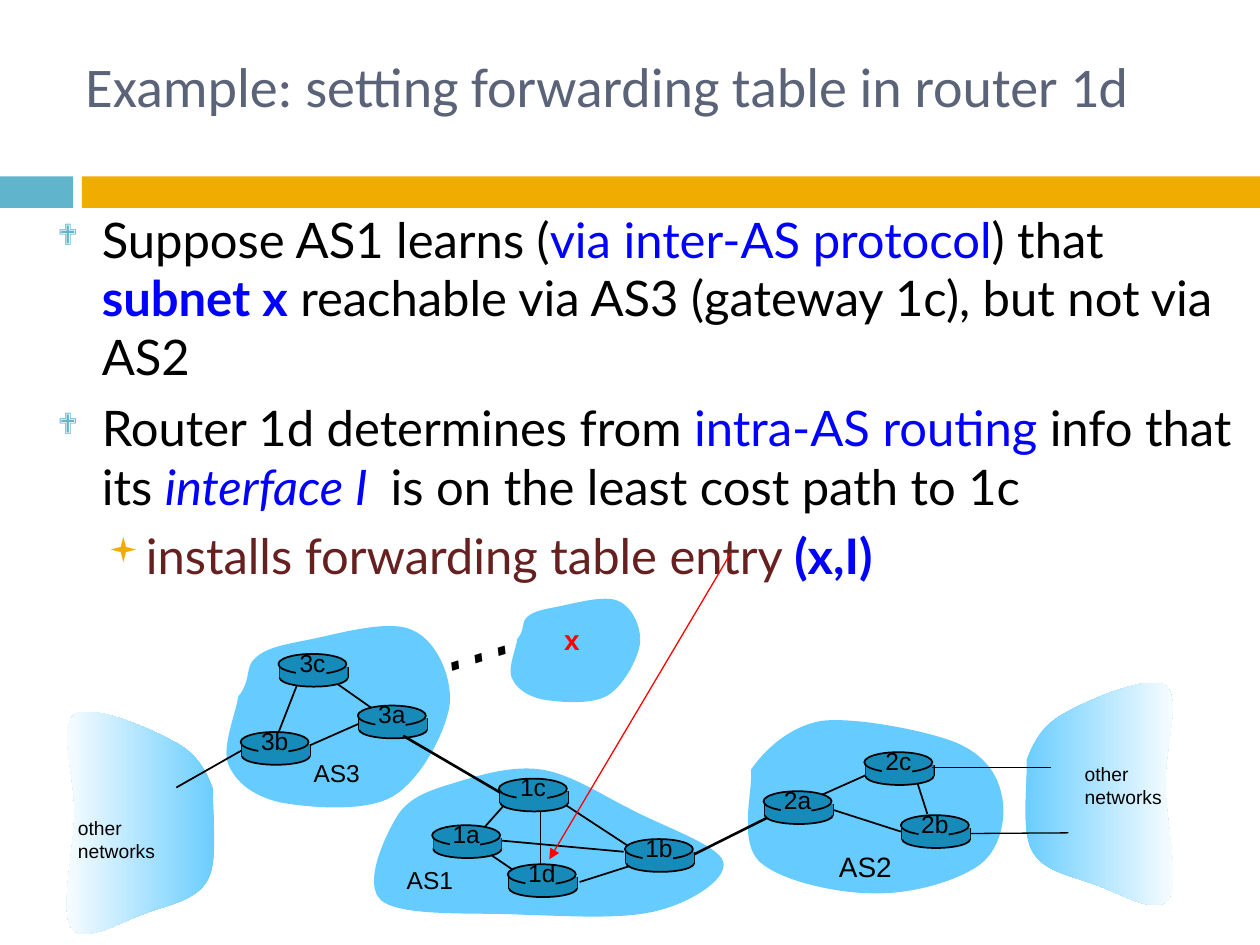
from lxml import etree
from pptx import Presentation
from pptx.dml.color import RGBColor
from pptx.enum.shapes import MSO_CONNECTOR, MSO_SHAPE
from pptx.enum.text import MSO_ANCHOR, MSO_AUTO_SIZE, PP_ALIGN
from pptx.oxml.ns import qn
from pptx.util import Cm, Pt

RECT, OVAL = MSO_SHAPE.RECTANGLE, MSO_SHAPE.OVAL
STRAIGHT = MSO_CONNECTOR.STRAIGHT
TOP, MIDDLE = MSO_ANCHOR.TOP, MSO_ANCHOR.MIDDLE
LEFT, CENTER = PP_ALIGN.LEFT, PP_ALIGN.CENTER
NO_FIT, GROW = MSO_AUTO_SIZE.NONE, MSO_AUTO_SIZE.SHAPE_TO_FIT_TEXT

COLORS = {
    "black": "000000", "white": "FFFFFF", "blue": "0000FF", "red": "FF0000",
    "title": "5A6378", "teal": "60B5CC", "amber": "F0AD00", "brown": "672020",
    "cloud": "66CCFF", "router": "168BBA",
}

# Cloud outlines: a start point, then cubic curves (two controls and an end).
AS1 = [(3.15, 6.48),
       (3.25, 6.32, 3.42, 6.27, 3.62, 6.21), (3.81, 6.15, 4.08, 6.07, 4.31, 6.11),
       (4.54, 6.15, 4.76, 6.3, 5, 6.42), (5.24, 6.55, 5.71, 6.71, 5.74, 6.84),
       (5.78, 6.98, 5.47, 7.17, 5.21, 7.23), (4.94, 7.3, 4.5, 7.27, 4.14, 7.26),
       (3.78, 7.24, 3.2, 7.28, 3.03, 7.15), (2.87, 7.02, 3.06, 6.63, 3.15, 6.48)]
AS2 = [(5.96, 6.11),
       (6.07, 5.95, 6.27, 5.76, 6.53, 5.72), (6.8, 5.69, 7.35, 5.8, 7.58, 5.89),
       (7.82, 5.99, 7.92, 6.15, 7.95, 6.31), (7.99, 6.47, 7.95, 6.73, 7.78, 6.86),
       (7.61, 6.99, 7.23, 7.1, 6.93, 7.09), (6.64, 7.09, 6.18, 6.99, 6.02, 6.83),
       (5.86, 6.66, 5.98, 6.26, 5.96, 6.11)]
AS3 = [(1.89, 5.53),
       (2, 5.4, 1.94, 5.29, 2.03, 5.22), (2.12, 5.14, 2.24, 5.12, 2.44, 5.08),
       (2.65, 5.04, 3.08, 4.91, 3.27, 5), (3.46, 5.08, 3.59, 5.36, 3.57, 5.59),
       (3.54, 5.81, 3.34, 6.19, 3.12, 6.32), (2.9, 6.45, 2.45, 6.41, 2.23, 6.37),
       (2.01, 6.32, 1.87, 6.21, 1.81, 6.06), (1.76, 5.92, 1.88, 5.64, 1.89, 5.53)]
OTHER = [(8.15, 6.03),
         (8.21, 5.87, 8.29, 5.74, 8.47, 5.65), (8.65, 5.55, 9.12, 5.35, 9.25, 5.44),
         (9.38, 5.54, 9.24, 5.95, 9.25, 6.23), (9.25, 6.51, 9.37, 7.01, 9.27, 7.14),
         (9.18, 7.27, 8.87, 7.08, 8.69, 7.02), (8.51, 6.95, 8.28, 6.92, 8.19, 6.75),
         (8.1, 6.59, 8.16, 6.18, 8.15, 6.03)]

ROUTERS = {
    "3b": (1.91, 5.81), "3c": (2.21, 5.19), "3a": (2.84, 5.6),
    "1c": (3.96, 6.18), "1a": (3.43, 6.55), "1d": (4.03, 6.86), "1b": (4.96, 6.66),
    "2a": (6.06, 6.28), "2c": (6.86, 5.97), "2b": (7.15, 6.47),
}
LINKS = [
    (2.45, 5.92, 2.88, 5.73), (2.95, 5.62, 2.68, 5.43), (2.36, 5.43, 2.2, 5.84),
    (4.01, 6.38, 3.85, 6.56), (4.29, 6.42, 4.29, 6.91), (4.46, 6.37, 5.01, 6.73),
    (5.01, 6.87, 4.6, 7), (4.95, 6.76, 3.96, 6.67), (3.86, 6.76, 4.08, 6.91),
    (6.43, 6.35, 6.9, 6.14), (6.62, 6.43, 7.15, 6.6), (7.28, 6.21, 7.36, 6.46),
]
BULLETS = [
    # level, runs of (text, colour, style)
    (0, [("Suppose AS1 learns (", "black", ""), ("via inter-AS protocol", "blue", ""),
         (") that ", "black", ""), ("subnet x", "blue", "b"),
         (" reachable via AS3 (gateway 1c), but not via AS2", "black", "")]),
    (0, [("Router 1d determines from ", "black", ""), ("intra-AS routing ", "blue", ""),
         ("info that its ", "black", ""), ("interface I  ", "blue", "i"),
         ("is on the least cost path to 1c", "black", "")]),
    (1, [("installs forwarding table entry ", "brown", ""), ("(x,I)", "blue", "b")]),
]
# Per level: symbol, colour, size %, left margin, hanging indent, space before
LEVELS = [("❖", "teal", 60, 0.35, 0.35, 7), ("▪", "amber", 70, 0.7, 0.3, 5.5)]


def inch(value):
    return Cm(value * 2.54)


def rgb(name):
    return RGBColor.from_string(COLORS[name])


def merge_into_curves(sp):
    """Replace every three line segments by one cubic curve."""
    lines = list(sp._element.iter(qn("a:lnTo")))
    for curve in zip(lines[::3], lines[1::3], lines[2::3]):
        cubic = etree.Element(qn("a:cubicBezTo"))
        curve[0].addprevious(cubic)
        for segment in curve:
            cubic.append(segment[0])
            segment.getparent().remove(segment)


class Canvas:
    def __init__(self, s):
        self.s = s

    def shape(self, kind, x, y, w, h, fill, outlined=False, parent=None):
        sp = (parent or self.s).shapes.add_shape(kind, *map(inch, (x, y, w, h)))
        sp.shadow.inherit = False
        sp.fill.solid()
        sp.fill.fore_color.rgb = rgb(fill)
        if outlined:
            sp.line.color.rgb = rgb("black")
            sp.line.width = Pt(1)
        else:
            sp.line.fill.background()
        return sp

    def line(self, x1, y1, x2, y2, width=1, color="black", arrow=False, parent=None):
        cx = (parent or self.s).shapes.add_connector(
            STRAIGHT, *map(inch, (x1, y1, x2, y2)))
        cx.line.color.rgb = rgb(color)
        cx.line.width = Pt(width)
        if arrow:
            etree.SubElement(cx.line._get_or_add_ln(), qn("a:tailEnd"), type="triangle")
        etree.SubElement(cx._element.spPr, qn("a:effectLst"))
        return cx

    def cloud(self, outline, fade_angle=None, sx=1, dx=0, sy=1, dy=0):
        """Draw a cloud scaled by sx, sy and moved by dx, dy, plain or fading to white."""
        points = [(inch(sx * x + dx), inch(sy * y + dy))
                  for part in outline for x, y in zip(part[::2], part[1::2])]
        builder = self.s.shapes.build_freeform(*points[0], scale=1.0)
        builder.add_line_segments(points[1:], close=True)
        sp = builder.convert_to_shape()
        merge_into_curves(sp)
        sp.shadow.inherit = False
        sp.line.fill.background()
        if fade_angle is None:
            sp.fill.solid()
            sp.fill.fore_color.rgb = rgb("cloud")
            return
        sp.fill.gradient()
        sp.fill.gradient_angle = fade_angle
        for stop, name, position in zip(sp.fill.gradient_stops, ("cloud", "white"), (0, 1)):
            stop.color.rgb = rgb(name)
            stop.position = position

    def run(self, p, text, size, font="Arial", color="black", style=""):
        r = p.add_run()
        r.text = text
        r.font.name, r.font.size = font, Pt(size)
        r.font.color.rgb = rgb(color)
        r.font.bold, r.font.italic = "b" in style, "i" in style

    def box(self, x, y, w, h, wrap=False, anchor=TOP, parent=None):
        sp = (parent or self.s).shapes.add_textbox(*map(inch, (x, y, w, h)))
        tf = sp.text_frame
        tf.word_wrap, tf.vertical_anchor = wrap, anchor
        tf.auto_size = NO_FIT if wrap else GROW
        return sp

    def label(self, x, y, w, h, lines, size, align=LEFT, parent=None, **look):
        sp = self.box(x, y, w, h, parent=parent)
        tf = sp.text_frame
        for i, text in enumerate(lines):
            p = tf.add_paragraph() if i else tf.paragraphs[0]
            p.alignment = align
            self.run(p, text, size, **look)
        return sp

    def bullets(self, x, y, w, h, items):
        tf = self.box(x, y, w, h, wrap=True).text_frame
        for i, (level, runs) in enumerate(items):
            symbol, color, percent, margin, hang, before = LEVELS[level]
            p = tf.add_paragraph() if i else tf.paragraphs[0]
            p.level = level
            pPr = p._p.get_or_add_pPr()
            pPr.set("marL", str(inch(margin)))
            pPr.set("indent", str(-inch(hang)))
            clr = etree.SubElement(pPr, qn("a:buClr"))
            etree.SubElement(clr, qn("a:srgbClr"), val=COLORS[color])
            etree.SubElement(pPr, qn("a:buSzPct"), val=str(percent * 1000))
            etree.SubElement(pPr, qn("a:buFont"), typeface="Wingdings")
            etree.SubElement(pPr, qn("a:buChar"), char=symbol)
            if i:
                p.space_before = Pt(before)
            for text, tint, style in runs:
                self.run(p, text, 28, "Lato", tint, style)

    def router(self, name, x, y):
        """Draw a grouped router and return its body rectangle."""
        g = self.s.shapes.add_group_shape()
        self.shape(OVAL, x + 0.01, y + 0.12, 0.54, 0.14, "router", True, g)
        for side in (x + 0.01, x + 0.55):
            self.line(side, y + 0.1, side, y + 0.19, parent=g)
        body = self.shape(RECT, x + 0.01, y + 0.1, 0.54, 0.09, "router", parent=g)
        self.shape(OVAL, x, y, 0.54, 0.16, "router", True, g)
        self.shape(RECT, x + 0.14, y + 0.02, 0.24, 0.21, "router", parent=g)
        self.label(x + 0.06, y - 0.1, 0.42, 0.34, [name], 14, CENTER, g)
        return body


def main():
    prs = Presentation()
    prs.slide_width, prs.slide_height = inch(10), inch(7.5)
    c = Canvas(prs.slides.add_slide(prs.slide_layouts[6]))

    c.shape(RECT, 0, 1.4, 0.58, 0.25, "teal")
    c.shape(RECT, 0.65, 1.4, 9.35, 0.25, "amber")
    title = c.box(0.58, 0.05, 8.98, 1.25, wrap=True, anchor=MIDDLE)
    c.run(title.text_frame.paragraphs[0],
          "Example: setting forwarding table in router 1d", 32, "Calibri", "title")
    c.bullets(0.36, 1.61, 9.64, 3.16, BULLETS)

    for outline in (AS1, AS2, AS3):
        c.cloud(outline)
    c.cloud(AS3, sx=0.58, dx=3.01, sy=0.57, dy=1.92)
    c.cloud(OTHER, fade_angle=0)
    c.cloud(OTHER, fade_angle=180, sx=-1, dx=9.84, dy=0.23)

    for link in LINKS:
        c.line(*link)
    bodies = {name: c.router(name, *at) for name, at in ROUTERS.items()}
    c.line(3.2, 5.84, 3.97, 6.29, 1.5)
    c.line(5.51, 6.78, 6.09, 6.49, 1.5)
    c.line(7.4, 6.09, 8.34, 6.09, 0.75)
    c.line(7.69, 6.61, 8.48, 6.61, 0.75).begin_connect(bodies["2b"], 3)
    c.line(1.91, 5.95, 1.4, 6.25).begin_connect(bodies["3b"], 1)

    c.label(3.13, 6.82, 0.57, 0.34, ["AS1"], 14)
    c.label(6.56, 6.69, 0.62, 0.37, ["AS2"], 16)
    c.label(2.39, 5.97, 0.57, 0.34, ["AS3"], 14)
    for x, y in ((8.51, 6), (0.52, 6.43)):
        c.label(x, y, 0.82, 0.47, ["other", "networks"], 11)
    c.label(4.38, 4.89, 0.33, 0.37, ["x"], 16, color="red", style="b")
    c.line(5.8, 4.39, 4.36, 6.82, 0.75, "red", arrow=True)
    c.label(3.35, 4.6, 0.81, 0.83, ["…"], 44, style="i").rotation = 342.3

    prs.save("out.pptx")


if __name__ == "__main__":
    main()
